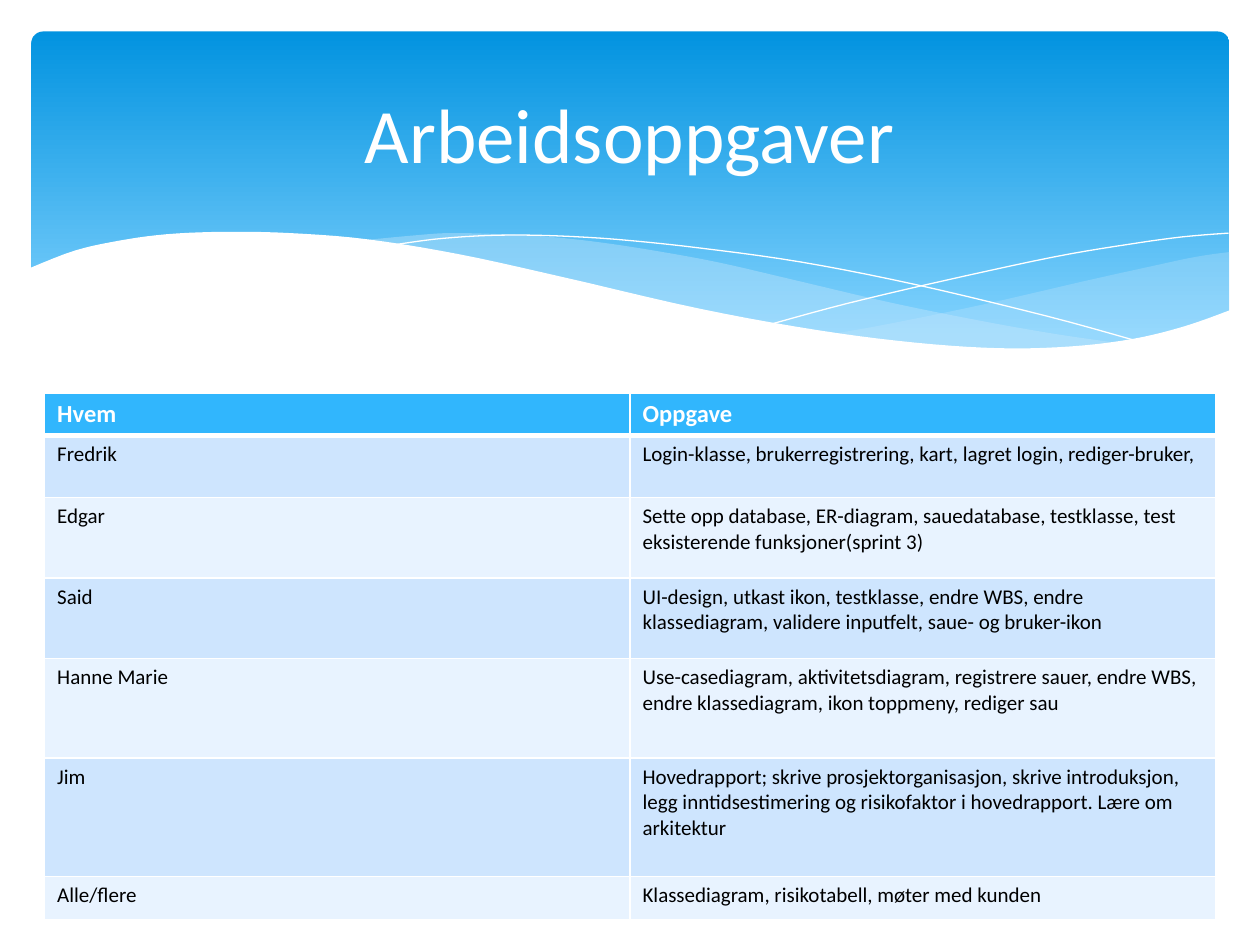
from dataclasses import dataclass
from typing import NamedTuple

import pptx
import pptx.dml.color
import pptx.enum.dml
import pptx.enum.shapes
import pptx.enum.text
import pptx.oxml
import pptx.oxml.ns
import pptx.util

Pt = pptx.util.Pt
Point = tuple[float, float]


@dataclass(frozen=True)
class Theme:
    font: str = "Calibri"
    title_size: float = 44
    header_size: float = 14
    body_size: float = 12
    white: str = "FFFFFF"
    black: str = "000000"
    sky_top: str = "0293E0"
    sky_bottom: str = "83D3FE"
    mist: str = "C6E7FC"
    header: str = "31B6FD"
    bands: tuple[str, str] = ("CEE5FE", "E8F3FF")


class Wave(NamedTuple):
    """Smooth curves joined end to end; a fill closes them, no fill leaves a hairline."""
    curves: list[list[Point]]
    fill: str | None = None
    opacity: int = 100


class Task(NamedTuple):
    who: str
    work: str
    height: float


THEME = Theme()

WAVES = [
    Wave([[(702.7, 144), (682.6, 146.9), (652.3, 153.4), (619.9, 160.6),
           (560.9, 174.2), (508.3, 185), (475.9, 190.8)],
          [(475.9, 190.8), (507.6, 195.1), (545, 198.7), (586, 200.2),
           (621.4, 198), (651.6, 193.7), (678.2, 186.5), (702.7, 177.8)]],
         THEME.mist, 29),
    Wave([[(643, 196.6), (602.6, 190.8), (558, 182.9), (508.3, 172.8),
           (452.9, 159.8), (409.7, 149.8), (370, 142.6), (334.8, 137.5),
           (302.4, 134.6), (259.9, 133.2), (236.2, 134.6), (205.9, 137.5)],
          [(205.9, 137.5), (246.2, 143.3), (290.9, 151.9), (323.3, 159.8),
           (381.6, 172.8), (432.7, 183.6), (478.8, 191.5), (519.8, 197.3),
           (556.6, 199.4), (589, 200.2), (617, 199.4), (643, 196.6)]],
         THEME.mist, 40),
    Wave([[(222.5, 140.4), (247.7, 136.8), (278.6, 134.6), (311.8, 134.6),
           (352, 136.8), (400.3, 141.8), (457.9, 149.8), (523.4, 162.7),
           (598.3, 180.7), (653, 195.8)]]),
    Wave([[(441.4, 185), (483.8, 173.5), (538.6, 160.6), (601.9, 146.9),
           (644.4, 139.7), (675.4, 135.4), (702, 133.2)]]),
    Wave([[(703.4, 177.1), (676.8, 186.5), (647.3, 193.7), (612, 198),
           (571, 199), (522.7, 195.8), (466.6, 188.6), (399.6, 176.4),
           (321.8, 158.4), (262.8, 145.4), (210.2, 136.8), (165.6, 133.2),
           (127.4, 132.5), (95, 133.9), (68.4, 137.5), (42.5, 143.3),
           (16.6, 153.4)],
          [(16.6, 236.9), (703.4, 236.9)]],
         THEME.white),
]

HEADER = Task("Hvem", "Oppgave", 19.5)
TASKS = [
    Task("Fredrik", "Login-klasse, brukerregistrering, kart, lagret login, rediger-bruker,", 35.5),
    Task("Edgar", "Sette opp database, ER-diagram, sauedatabase, testklasse, test "
         "eksisterende funksjoner(sprint 3)", 46),
    Task("Said", "UI-design, utkast ikon, testklasse, endre WBS, endre "
         "klassediagram, validere inputfelt, saue- og bruker-ikon", 46),
    Task("Hanne Marie", "Use-casediagram, aktivitetsdiagram, registrere sauer, endre WBS, "
         "endre klassediagram, ikon toppmeny, rediger sau", 57),
    Task("Jim", "Hovedrapport; skrive prosjektorganisasjon, skrive introduksjon, "
         "legg inntidsestimering og risikofaktor i hovedrapport. Lære om arkitektur", 67.5),
    Task("Alle/flere", "Klassediagram, risikotabell, møter med kunden", 25),
]


def rgb(color: str) -> pptx.dml.color.RGBColor:
    return pptx.dml.color.RGBColor.from_string(color)


def smooth(knots: list[Point], steps: int = 5) -> list[Point]:
    """Sample a Catmull-Rom spline through the knots."""
    if len(knots) < 3:
        return knots
    ends = [knots[0], *knots, knots[-1]]
    points = [knots[0]]
    for a, b, c, d in zip(ends, ends[1:], ends[2:], ends[3:]):
        for i in range(1, steps + 1):
            t = i / steps
            x, y = (0.5 * (2 * q + (r - p) * t + (2 * p - 5 * q + 4 * r - s) * t**2
                           + (3 * q - p - 3 * r + s) * t**3)
                    for p, q, r, s in zip(a, b, c, d))
            points.append((x, y))
    return points


def add_wave(s: pptx.slide.Slide, wave: Wave) -> None:
    points = [(Pt(x), Pt(y)) for curve in wave.curves for x, y in smooth(curve)]
    builder = s.shapes.build_freeform(*points[0], scale=1.0)
    builder.add_line_segments(points[1:], close=wave.fill is not None)
    sp = builder.convert_to_shape()
    sp.shadow.inherit = False
    if wave.fill is None:
        sp.fill.background()
        sp.line.color.rgb = rgb(THEME.white)
        sp.line.width = Pt(0)
        return
    sp.line.fill.background()
    sp.fill.solid()
    sp.fill.fore_color.rgb = rgb(wave.fill)
    if wave.opacity < 100:
        color = sp.fill._xPr.find(".//" + pptx.oxml.ns.qn("a:srgbClr"))
        alpha = pptx.oxml.parse_xml(
            f'<a:alpha {pptx.oxml.ns.nsdecls("a")} val="{wave.opacity * 1000}"/>')
        color.append(alpha)


def add_sky(s: pptx.slide.Slide) -> None:
    sp = s.shapes.add_shape(pptx.enum.shapes.MSO_SHAPE.ROUNDED_RECTANGLE,
                            Pt(18), Pt(18), Pt(684.5), Pt(194.5))
    sp.adjustments[0] = 0.034
    sp.shadow.inherit = False
    sp.line.fill.background()
    sp.fill.gradient()
    sp.fill.gradient_angle = 270
    stops = [(0, THEME.sky_top), (0.9, THEME.sky_bottom)]
    for stop, (position, color) in zip(sp.fill.gradient_stops, stops):
        stop.position = position
        stop.color.rgb = rgb(color)


def add_run(p: pptx.text.text._Paragraph, text: str, size: float, color: str,
            bold: bool = False) -> None:
    r = p.add_run()
    r.text = text
    r.font.name = THEME.font
    r.font.size = Pt(size)
    r.font.bold = bold
    r.font.color.rgb = rgb(color)


def add_title(s: pptx.slide.Slide, text: str) -> None:
    tf = s.shapes.add_textbox(Pt(36), Pt(26.5), Pt(648), Pt(98.5)).text_frame
    tf.word_wrap = True
    tf.vertical_anchor = pptx.enum.text.MSO_ANCHOR.MIDDLE
    p = tf.paragraphs[0]
    p.alignment = pptx.enum.text.PP_ALIGN.CENTER
    add_run(p, text, THEME.title_size, THEME.white)


def set_borders(cell: pptx.table._Cell, top: float, bottom: float) -> None:
    widths = {"L": 1, "R": 1, "T": top, "B": bottom}
    for i, (side, width) in enumerate(widths.items()):
        cell._tc.get_or_add_tcPr().insert(i, pptx.oxml.parse_xml(
            f'<a:ln{side} {pptx.oxml.ns.nsdecls("a")} w="{Pt(width)}"><a:solidFill>'
            f'<a:srgbClr val="{THEME.white}"/></a:solidFill></a:ln{side}>'))


def add_tasks(s: pptx.slide.Slide, rows: list[Task]) -> None:
    height = sum(row.height for row in rows)
    table = s.shapes.add_table(len(rows), 2, Pt(25.5), Pt(224.75), Pt(669), Pt(height)).table
    for i, row in enumerate(rows):
        table.rows[i].height = Pt(row.height)
        is_header = i == 0
        fill = THEME.header if is_header else THEME.bands[(i - 1) % 2]
        size = THEME.header_size if is_header else THEME.body_size
        color = THEME.white if is_header else THEME.black
        for cell, text in zip(table.rows[i].cells, (row.who, row.work)):
            cell.fill.solid()
            cell.fill.fore_color.rgb = rgb(fill)
            set_borders(cell, top=3 if i == 1 else 1, bottom=3 if is_header else 1)
            add_run(cell.text_frame.paragraphs[0], text, size, color, is_header)


def main() -> None:
    prs = pptx.Presentation()
    prs.slide_width, prs.slide_height = Pt(720), Pt(540)
    s = prs.slides.add_slide(prs.slide_layouts[6])
    add_sky(s)
    for wave in WAVES:
        add_wave(s, wave)
    add_title(s, "Arbeidsoppgaver")
    add_tasks(s, [HEADER, *TASKS])
    prs.save("out.pptx")


if __name__ == "__main__":
    main()
